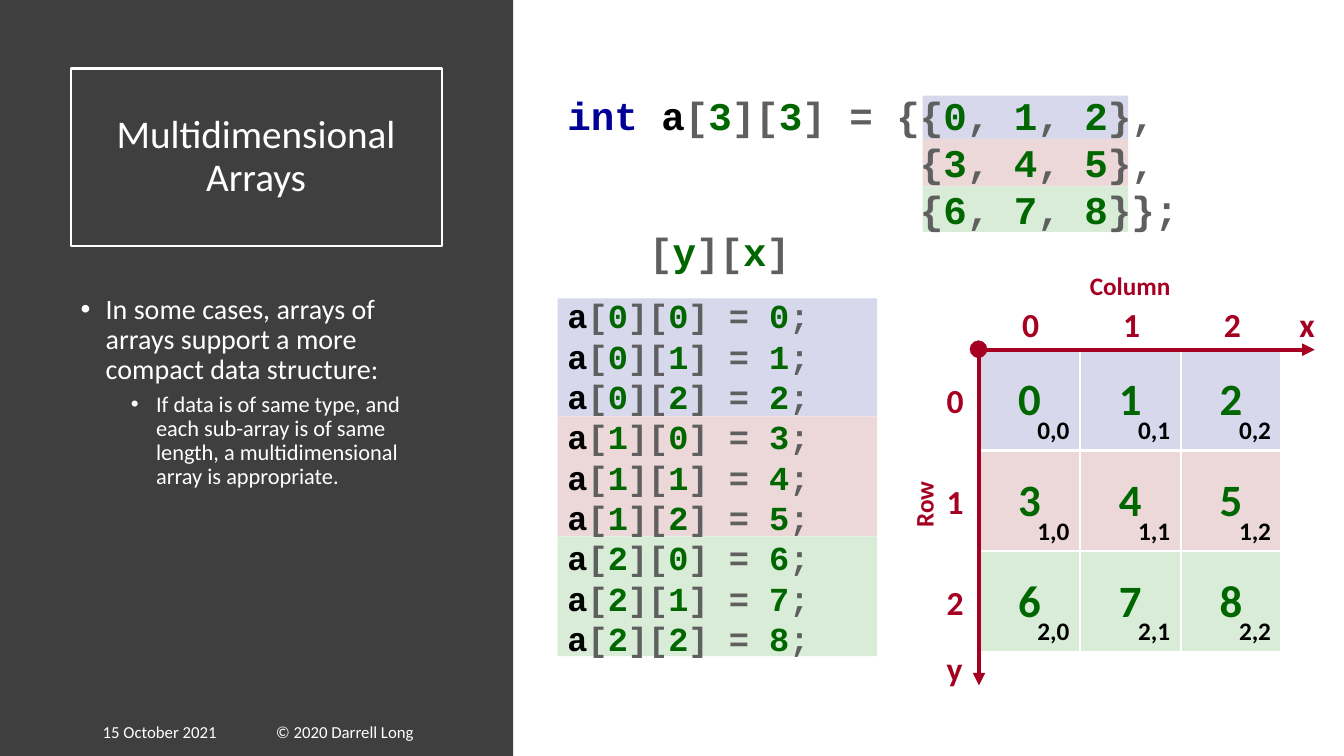
from itertools import groupby

from lxml import etree
from pptx import Presentation
from pptx import util as u
from pptx.dml.color import RGBColor
from pptx.enum import shapes, text
from pptx.oxml.ns import qn

PX = 9144  # 100 px to the inch
COLORS = {
    "panel": "3F3F3F", "white": "FFFFFF", "black": "000000",
    "keyword": "000099", "number": "006600", "symbol": "5F5F5F",
    "axis": "A50021",
}
ROW_COLORS = ["D8D8EC", "ECD8D8", "D8ECD8"]
TOKEN_COLORS = {
    **dict.fromkeys("int", "keyword"), "a": "black",
    **dict.fromkeys("0123456789xy", "number"),
}
CELL = 100


def px(*lengths):
    return [u.Emu(length * PX) for length in lengths]


def rgb(name):
    return RGBColor.from_string(COLORS.get(name, name))


def style(font, size, color, bold=False, name="Calibri"):
    font.size, font.bold, font.name = u.Pt(size), bold, name
    font.color.rgb = rgb(color)


def add_block(page, box, fill, line=None, width=1.5, kind=shapes.MSO_SHAPE.RECTANGLE):
    block = page.shapes.add_shape(kind, *px(*box))
    block.shadow.inherit = False
    block.fill.solid()
    block.fill.fore_color.rgb = rgb(fill)
    if line:
        block.line.color.rgb = rgb(line)
        block.line.width = u.Pt(width)
    else:
        block.line.fill.background()
    return block


def add_label(page, box, words, size, color, bold=True, wrap=False):
    label = page.shapes.add_textbox(*px(*box))
    frame = label.text_frame
    frame.word_wrap = wrap
    frame.text = words
    style(frame.paragraphs[0].runs[0].font, size, color, bold)
    return label


def add_code(page, box, lines, size):
    """Code text, coloured by the kind of each character."""
    frame = page.shapes.add_textbox(*px(*box)).text_frame
    frame.word_wrap = True
    for number, line in enumerate(lines):
        para = frame.add_paragraph() if number else frame.paragraphs[0]
        for color, chars in groupby(line, lambda c: TOKEN_COLORS.get(c, "symbol")):
            span = para.add_run()
            span.text = "".join(chars)
            style(span.font, size, color, True, "Courier New")


def add_bands(page, left, tops, width):
    """Three row-coloured bands between consecutive tops."""
    for top, bottom, color in zip(tops, tops[1:], ROW_COLORS):
        add_block(page, (left, top, width, bottom - top), color)


def add_axis(page, start, end):
    axis = page.shapes.add_connector(shapes.MSO_CONNECTOR.STRAIGHT, *px(*start, *end))
    axis.line.color.rgb = rgb("axis")
    axis.line.width = u.Pt(3)
    etree.SubElement(axis.line._get_or_add_ln(), qn("a:tailEnd"), type="triangle")
    etree.SubElement(axis._element.spPr, qn("a:effectLst"))


def set_bullet(para, left):
    props = para._p.get_or_add_pPr()
    props.set("marL", str(left * PX))
    props.set("indent", str(-25 * PX))
    etree.SubElement(props, qn("a:buFont"), typeface="Arial")
    etree.SubElement(props, qn("a:buChar"), char="•")


def side_panel(page, box):
    left, top, width, height = box
    panel = add_block(page, box, "panel")
    page.shapes.element.insert(2, panel.element)  # behind the title

    # Title
    title = page.shapes.title
    title.left, title.top, title.width, title.height = px(left + 70, top + 68, 368, 176)
    title.line.color.rgb = rgb("white")
    title.line.width = u.Pt(1.5)
    frame = title.text_frame
    frame.text = "Multidimensional Arrays"
    frame.word_wrap = True
    frame.auto_size = text.MSO_AUTO_SIZE.NONE
    frame.vertical_anchor = text.MSO_ANCHOR.MIDDLE
    para = frame.paragraphs[0]
    para.alignment = text.PP_ALIGN.CENTER
    para.line_spacing = 0.9
    style(para.runs[0].font, 28, "white")

    # Bullets
    frame = page.shapes.add_textbox(*px(left + 70, top + 288, 368, 374)).text_frame
    frame.word_wrap = True
    bullets = [
        ("In some cases, arrays of arrays support a more compact data structure:", 20, 25),
        ("If data is of same type, and each sub-array is of same length, "
         "a multidimensional array is appropriate.", 16, 75),
    ]
    for level, (words, size, indent) in enumerate(bullets):
        para = frame.add_paragraph() if level else frame.paragraphs[0]
        para.text = words
        para.level = level
        para.line_spacing = 0.9
        if level:
            para.space_before = u.Pt(5)
        set_bullet(para, indent)
        style(para.runs[0].font, size, "white")

    # Footer
    footer_top = top + height - 44
    date = add_label(page, (left + 92, footer_top, 300, 40), "15 October 2021",
                     12, "white", False, True)
    credit = add_label(page, (left + 117, footer_top, 450, 40), "© 2020 Darrell Long",
                       12, "white", False, True)
    credit.text_frame.paragraphs[0].alignment = text.PP_ALIGN.CENTER
    for label in (date, credit):
        label.text_frame.vertical_anchor = text.MSO_ANCHOR.MIDDLE


def declaration(page, box):
    left, top, width, height = box
    add_bands(page, left + 362, [top + 9, top + 52, top + 99, top + 144], 204)
    add_code(page, box, ["int a[3][3] = {{0, 1, 2},",
                         "               {3, 4, 5},",
                         "               {6, 7, 8}};"], 28)


def listing(page, box):
    left, top, width, height = box
    add_code(page, (left + 81, top - 67, 160, 57), ["[y][x]"], 28)
    add_bands(page, left, [top + 8, top + 125, top + 244, top + 363], width)
    add_code(page, box, [f"a[{n // 3}][{n % 3}] = {n};" for n in range(9)], 24)


def array_grid(page, box):
    left, top, width, height = box

    # Cells with values and index pairs
    for n in range(9):
        row, column = divmod(n, 3)
        x, y = left + column * CELL, top + row * CELL
        cell = add_block(page, (x, y, CELL, CELL), ROW_COLORS[row], "white")
        frame = cell.text_frame
        frame.text = str(n)
        frame.margin_bottom = px(10)[0]
        frame.vertical_anchor = text.MSO_ANCHOR.MIDDLE
        frame.paragraphs[0].alignment = text.PP_ALIGN.CENTER
        style(frame.paragraphs[0].runs[0].font, 32, "number", True)
        add_label(page, (x + 48, y + 59, 52, 40), f"{row},{column}", 18, "black")

    # Axes and origin
    add_axis(page, (left, top), (left, top + height))
    add_axis(page, (left, top), (left + width, top))
    add_block(page, (left - 9, top - 9, 17, 17), "axis", "axis", 0.25,
              shapes.MSO_SHAPE.OVAL)

    # Axis labels
    for n in range(3):
        add_label(page, (left + 33 + n * CELL, top - 50, 37, 50), str(n), 24, "axis")
        add_label(page, (left - 42, top + 25 + n * CELL, 37, 50), str(n), 24, "axis")
    add_label(page, (left + 308, top - 50, 36, 50), "x", 24, "axis")
    add_label(page, (left - 42, top + 291, 36, 50), "y", 24, "axis")
    add_label(page, (left + 100, top - 84, 101, 40), "Column", 18, "axis")
    add_label(page, (left - 88, top + 133, 66, 40), "Row", 18, "axis").rotation = 270


def main():
    deck = Presentation()
    deck.slide_width, deck.slide_height = px(1333, 750)
    page = deck.slides.add_slide(deck.slide_layouts[5])
    side_panel(page, (0, 0, 509, 750))
    declaration(page, (553, 86, 742, 150))
    listing(page, (553, 288, 317, 374))
    array_grid(page, (971, 347, 333, 333))
    deck.save("out.pptx")


if __name__ == "__main__":
    main()
